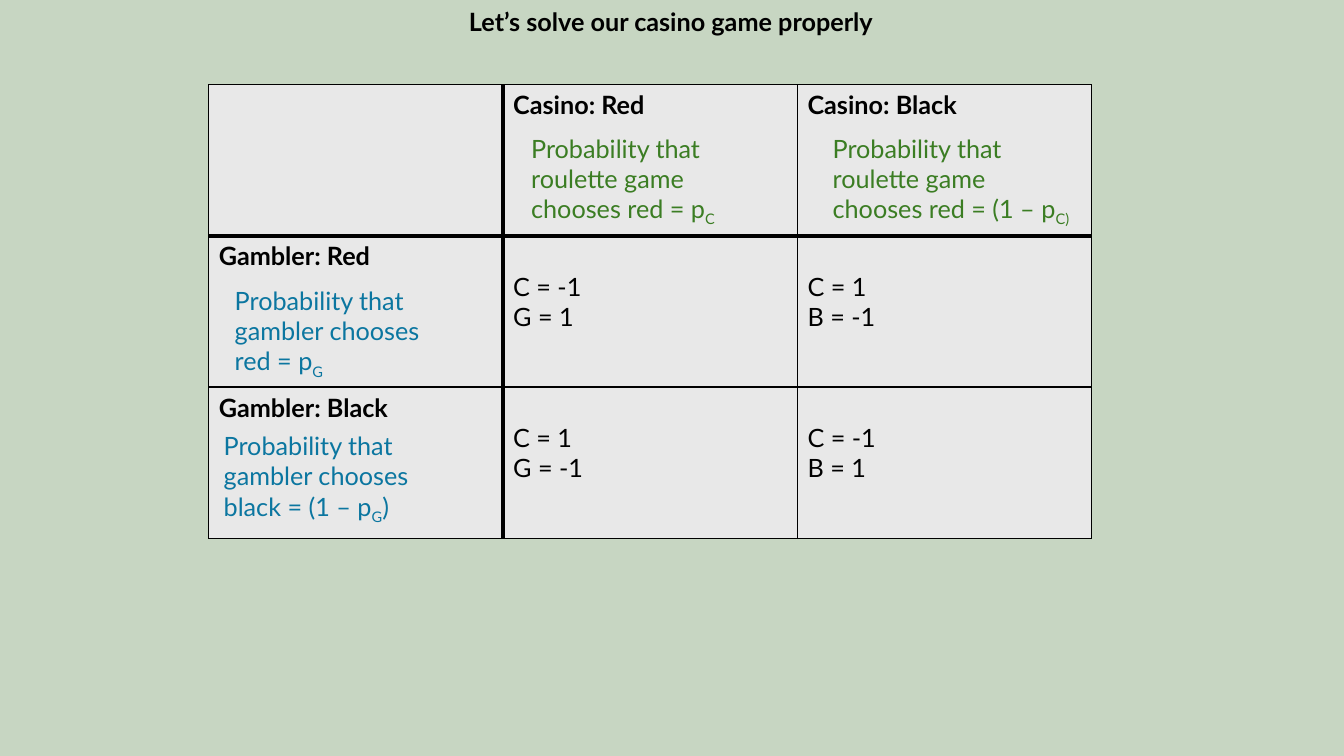
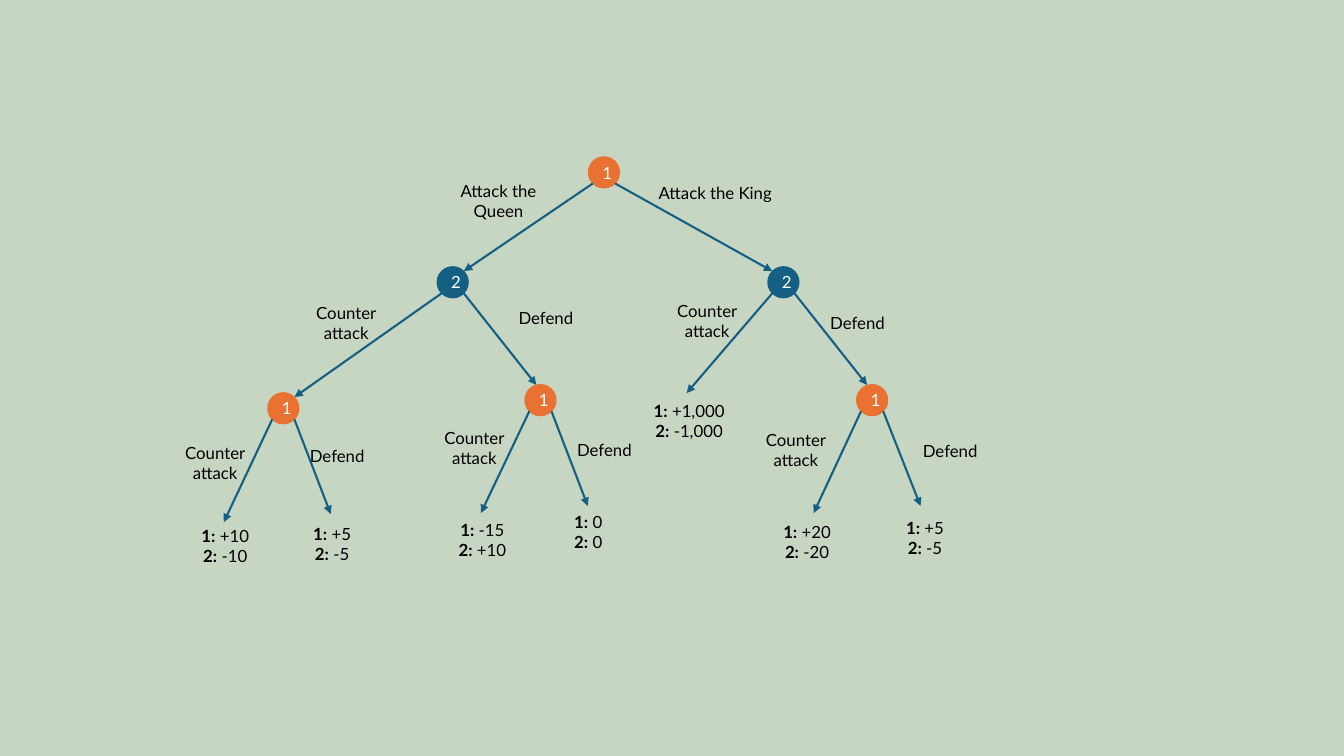
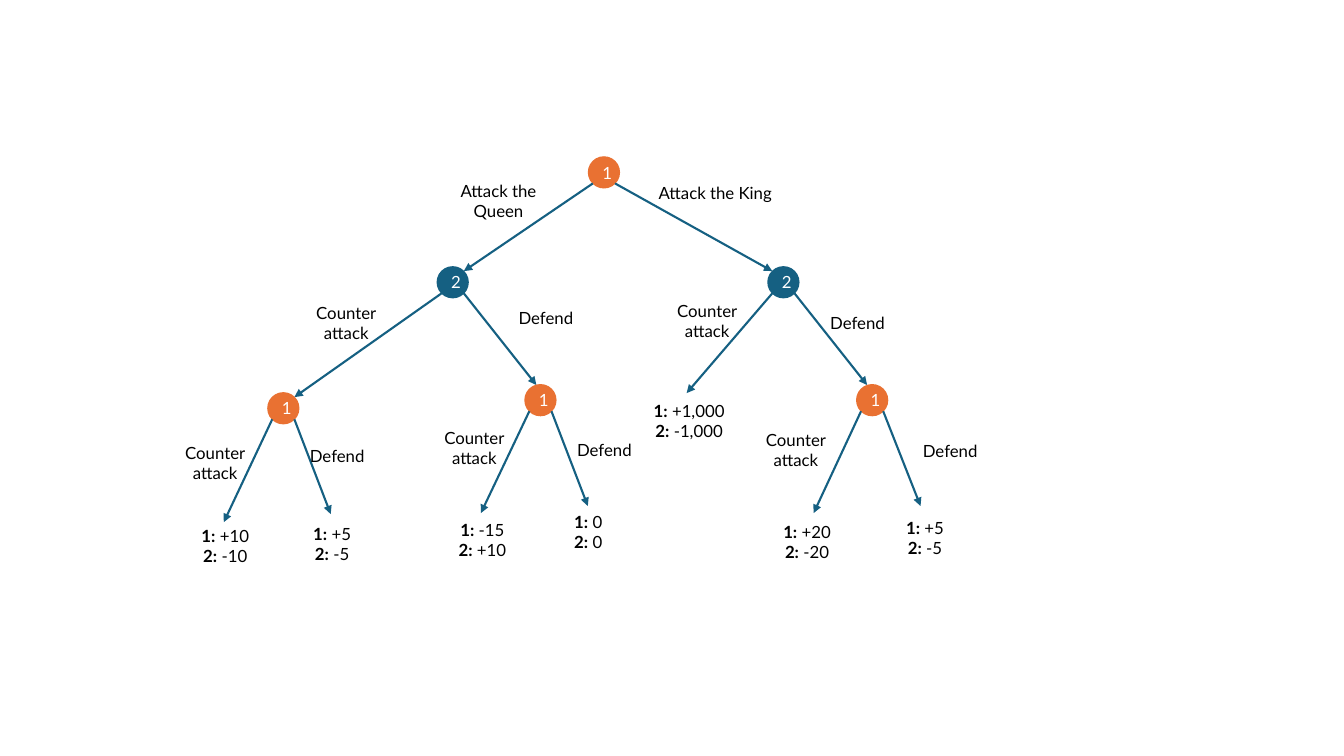
from lxml import etree
from pptx import Presentation
from pptx.dml.color import RGBColor
from pptx.enum.shapes import MSO_CONNECTOR, MSO_SHAPE
from pptx.enum.text import MSO_ANCHOR, PP_ALIGN
from pptx.oxml.ns import qn
from pptx.util import Pt

PX = 9144  # EMU in one px, 100 px to the inch
FONT = "Lato"
SAGE = RGBColor(0xC7, 0xD6, 0xC2)
WHITE = RGBColor(0xFF, 0xFF, 0xFF)
BLACK = RGBColor(0x00, 0x00, 0x00)
GREY = RGBColor(0xE8, 0xE8, 0xE8)
GREEN = RGBColor(0x3B, 0x7D, 0x23)
BLUE = RGBColor(0x0B, 0x76, 0xA0)
TEAL = RGBColor(0x15, 0x60, 0x82)
ORANGE = RGBColor(0xE9, 0x71, 0x32)
LEFT, CENTER = PP_ALIGN.LEFT, PP_ALIGN.CENTER
TOP, MIDDLE = MSO_ANCHOR.TOP, MSO_ANCHOR.MIDDLE
OVAL, STRAIGHT = MSO_SHAPE.OVAL, MSO_CONNECTOR.STRAIGHT


def write_text(frame, lines, size, color, align=LEFT, bold=False):
    """Each line is a string or a list of (text, style) runs."""
    frame.word_wrap = True
    for index, line in enumerate(lines):
        paragraph = frame.add_paragraph() if index else frame.paragraphs[0]
        paragraph.alignment = align
        paragraph.font.name = FONT
        paragraph.font.size = Pt(size)
        paragraph.font.color.rgb = color
        paragraph.font.bold = bold
        for text, style in [(line, "")] if isinstance(line, str) else line:
            run = paragraph.add_run()
            run.text = text
            if style == "bold":
                run.font.bold = True
            elif style == "subscript":
                run._r.get_or_add_rPr().set("baseline", "-25000")


def add_text(slide, box, lines, size, color, align=LEFT, anchor=TOP, bold=False):
    shape = slide.shapes.add_textbox(*[value * PX for value in box])
    shape.text_frame.vertical_anchor = anchor
    write_text(shape.text_frame, lines, size, color, align, bold)


presentation = Presentation()
presentation.slide_width = 1333 * PX
presentation.slide_height = 750 * PX
blank_layout = presentation.slide_layouts[6]

# Slide 1: payoff table
slide = presentation.slides.add_slide(blank_layout)
slide.background.fill.solid()
slide.background.fill.fore_color.rgb = SAGE

CELLS = [
    [[], ["Casino: Red"], ["Casino: Black"]],
    [["Gambler: Red"], ["C = -1", "G = 1"], ["C = 1", "B = -1"]],
    [["Gambler: Black"], ["C = 1", "G = -1"], ["C = -1", "B = 1"]],
]
COLUMN, ROW = 292, 150
table = slide.shapes.add_table(
    3, 3, 207 * PX, 84 * PX, 3 * COLUMN * PX, 3 * ROW * PX).table
table.first_row = table.horz_banding = False
for row_index, row in enumerate(CELLS):
    table.rows[row_index].height = ROW * PX
    table.columns[row_index].width = COLUMN * PX
    for column_index, lines in enumerate(row):
        cell = table.cell(row_index, column_index)
        is_heading = row_index == 0 or column_index == 0
        write_text(cell.text_frame, lines, 18, BLACK, bold=is_heading)
        if not is_heading:
            cell.margin_top = 35 * PX
        # Thick rules set off the heading row and column
        widths = {
            "a:lnL": 3 if column_index == 1 else 1,
            "a:lnR": 3 if column_index == 0 else 1,
            "a:lnT": 3 if row_index == 1 else 1,
            "a:lnB": 3 if row_index == 0 else 1,
        }
        properties = cell._tc.get_or_add_tcPr()
        for tag, width in widths.items():
            border = etree.SubElement(properties, qn(tag), w=str(Pt(width)))
            fill = etree.SubElement(border, qn("a:solidFill"))
            etree.SubElement(fill, qn("a:srgbClr"), val=str(BLACK))
        cell.fill.solid()
        cell.fill.fore_color.rgb = GREY

# Title and probability notes
add_text(slide, (8, 1, 1315, 40), ["Let’s solve our casino game properly"],
         18, BLACK, CENTER, bold=True)
NOTES = [
    ((223, 278, 230, 101), BLUE, "Probability that gambler chooses red = p", "G", ""),
    ((212, 422, 252, 101), BLUE, "Probability that gambler chooses black = (1 – p", "G", ")"),
    ((517, 127, 230, 101), GREEN, "Probability that roulette game chooses red = p", "C", ""),
    ((816, 127, 258, 101), GREEN, "Probability that roulette game chooses red = (1 – p", "C)", ""),
]
for box, color, text, subscript, ending in NOTES:
    runs = [(text, ""), (subscript, "subscript")]
    if ending:
        runs.append((ending, ""))
    add_text(slide, box, [runs], 18, color)

# Slides 2 and 3: game tree
DIAMETER = 32
CORNER = 11  # from the centre of a node to where its branches leave
LABEL_WIDTH, LABEL_HEIGHT = 133, 31
PLAYER_COLORS = {"1": ORANGE, "2": TEAL}
COUNTER, DEFEND = ["Counter", "attack"], ["Defend"]
# Player, node centre, ends of the left and right branches
NODES = [
    ("1", (599, 171), (460, 269), (766, 269)),
    ("2", (449, 280), (292, 394), (532, 382)),
    ("2", (777, 280), (681, 390), (860, 382)),
    ("1", (281, 405), (222, 518), (328, 510)),
    ("1", (536, 397), (477, 509), (583, 502)),
    ("1", (865, 397), (807, 509), (913, 502)),
]
# Label centres
MOVES = [
    ((494, 199), ["Attack the Queen"]), ((709, 191), ["Attack the King"]),
    ((343, 320), COUNTER), ((541, 315), DEFEND),
    ((701, 318), COUNTER), ((850, 320), DEFEND),
    ((213, 459), COUNTER), ((334, 452), DEFEND),
    ((470, 444), COUNTER), ((599, 446), DEFEND),
    ((789, 446), COUNTER), ((942, 447), DEFEND),
]
# Label centre, payoff of player 1, payoff of player 2
PAYOFFS = [
    ((223, 541), "+10", "-10"), ((329, 539), "+5", "-5"),
    ((478, 535), "-15", "+10"), ((583, 527), "0", "0"),
    ((683, 417), "+1,000", "-1,000"),
    ((800, 537), "+20", "-20"), ((917, 533), "+5", "-5"),
]
labels = MOVES + [
    (center, [[("1:", "bold"), (f" {first}", "")], [("2:", "bold"), (f" {second}", "")]])
    for center, first, second in PAYOFFS
]

for background in (SAGE, WHITE):
    slide = presentation.slides.add_slide(blank_layout)
    slide.background.fill.solid()
    slide.background.fill.fore_color.rgb = background

    for player, (x, y), left_end, right_end in NODES:
        node = slide.shapes.add_shape(
            OVAL, (x - DIAMETER // 2) * PX, (y - DIAMETER // 2) * PX,
            DIAMETER * PX, DIAMETER * PX)
        node.shadow.inherit = False
        node.fill.solid()
        node.fill.fore_color.rgb = PLAYER_COLORS[player]
        node.line.fill.background()
        node.text_frame.vertical_anchor = MIDDLE
        write_text(node.text_frame, [player], 12, WHITE, CENTER)

        for side, (end_x, end_y) in ((-1, left_end), (1, right_end)):
            branch = slide.shapes.add_connector(
                STRAIGHT, (x + side * CORNER) * PX, (y + CORNER) * PX,
                end_x * PX, end_y * PX)
            branch.line.color.rgb = TEAL
            branch.line.width = Pt(1.5)
            etree.SubElement(branch.line._get_or_add_ln(), qn("a:tailEnd"), type="triangle")
            etree.SubElement(branch._element.spPr, qn("a:effectLst"))

    for (x, y), lines in labels:
        box = (x - LABEL_WIDTH // 2, y - LABEL_HEIGHT // 2, LABEL_WIDTH, LABEL_HEIGHT)
        add_text(slide, box, lines, 12, BLACK, CENTER, MIDDLE)

presentation.save("out.pptx")
